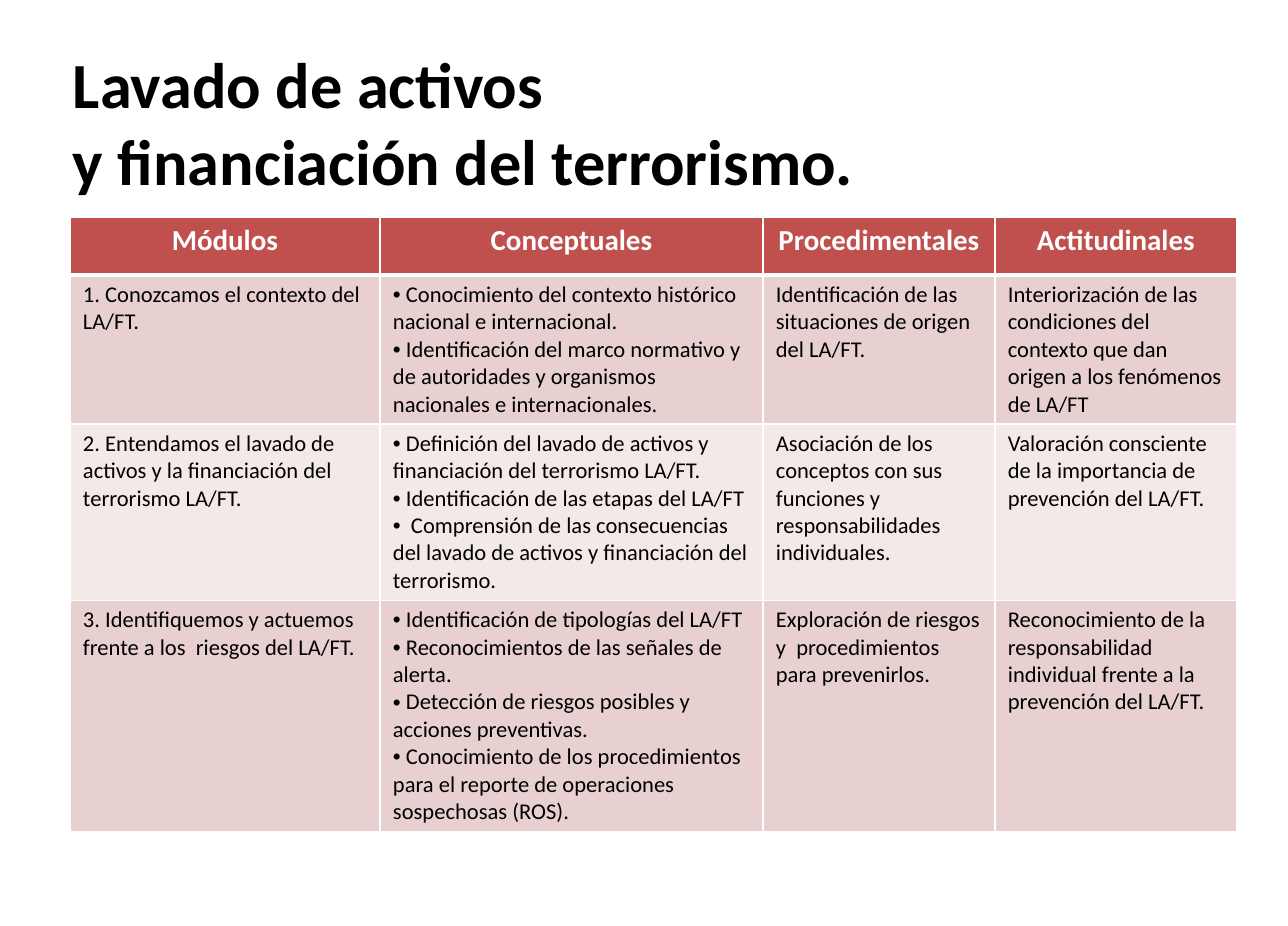
from lxml import etree
from pptx import Presentation
from pptx.dml.color import RGBColor
from pptx.enum.text import MSO_ANCHOR, PP_ALIGN
from pptx.oxml.ns import qn
from pptx.util import Pt

MIDDLE, TOP = MSO_ANCHOR.MIDDLE, MSO_ANCHOR.TOP
LEFT, CENTER = PP_ALIGN.LEFT, PP_ALIGN.CENTER
BLACK = RGBColor(0x00, 0x00, 0x00)
WHITE = RGBColor(0xFF, 0xFF, 0xFF)
RED = RGBColor(0xC0, 0x50, 0x4D)
BAND_FILLS = [RGBColor(0xF4, 0xE9, 0xE9), RGBColor(0xE8, 0xD0, 0xD0)]

TITLE = ["Lavado de activos", "y financiación del terrorismo."]
HEADERS = ["Módulos", "Conceptuales", "Procedimentales", "Actitudinales"]
MODULES = [
    (
        ["1. Conozcamos el contexto del LA/FT."],
        [
            "• Conocimiento del contexto histórico nacional e internacional.",
            "• Identificación del marco normativo y de autoridades y organismos nacionales e internacionales.",
        ],
        ["Identificación de las situaciones de origen del LA/FT."],
        ["Interiorización de las condiciones del contexto que dan origen a los fenómenos de LA/FT"],
    ),
    (
        ["2. Entendamos el lavado de activos y la financiación del terrorismo LA/FT."],
        [
            "• Definición del lavado de activos y financiación del terrorismo LA/FT.",
            "• Identificación de las etapas del LA/FT",
            "•  Comprensión de las consecuencias del lavado de activos y financiación del terrorismo.",
        ],
        ["Asociación de los conceptos con sus funciones y responsabilidades individuales."],
        ["Valoración consciente de la importancia de prevención del LA/FT."],
    ),
    (
        ["3. Identifiquemos y actuemos frente a los  riesgos del LA/FT."],
        [
            "• Identificación de tipologías del LA/FT",
            "• Reconocimientos de las señales de alerta.",
            "• Detección de riesgos posibles y acciones preventivas.",
            "• Conocimiento de los procedimientos para el reporte de operaciones",
            "sospechosas (ROS).",
        ],
        ["Exploración de riesgos y  procedimientos para prevenirlos."],
        ["Reconocimiento de la responsabilidad individual frente a la prevención del LA/FT."],
    ),
]

SCALE = 914400 / 115.8
SLIDE_SIZE = (1288, 926)
TITLE_BOX = (60, 44, 1159, 154)
TABLE_ORIGIN = (70, 217)
COLUMN_WIDTHS = [310, 383, 232, 242]
ROW_HEIGHTS = [58, 149, 176, 231]
INSETS = {"margin_left": 13, "margin_right": 13, "margin_top": 6, "margin_bottom": 6}

TITLE_FONT = {"name": "Calibri", "size": Pt(40), "bold": True}
HEADER_FONT = {"name": "Calibri", "size": Pt(18), "bold": True}
BODY_FONT = {"name": "Calibri", "size": Pt(14), "bold": False}


def px(length):
    return round(length * SCALE)


def set_attributes(target, values):
    for name, value in values.items():
        setattr(target, name, value)


def set_insets(target):
    set_attributes(target, {name: px(value) for name, value in INSETS.items()})


def add_bullet(paragraph):
    properties = paragraph._p.get_or_add_pPr()
    etree.SubElement(properties, qn("a:buFont"), typeface="Arial")
    etree.SubElement(properties, qn("a:buChar"), char="•")


def write_lines(text_frame, lines, font, color, alignment=LEFT):
    for index, line in enumerate(lines):
        paragraph = text_frame.add_paragraph() if index else text_frame.paragraphs[0]
        paragraph.alignment = alignment
        if line.startswith("•"):
            add_bullet(paragraph)
        run = paragraph.add_run()
        run.text = line.removeprefix("•")
        set_attributes(run.font, font)
        run.font.color.rgb = color


def set_borders(cell, widths):
    properties = cell._tc.get_or_add_tcPr()
    for index, (side, width) in enumerate(widths.items()):
        line = etree.Element(qn(f"a:ln{side}"), w=str(Pt(width)))
        fill = etree.SubElement(line, qn("a:solidFill"))
        etree.SubElement(fill, qn("a:srgbClr"), val=str(WHITE))
        properties.insert(index, line)


def add_title(slide):
    title = slide.shapes.add_textbox(*map(px, TITLE_BOX))
    text_frame = title.text_frame
    text_frame.word_wrap = True
    text_frame.vertical_anchor = MIDDLE
    set_insets(text_frame)
    write_lines(text_frame, TITLE, TITLE_FONT, BLACK)


def add_module_table(slide):
    rows = [[[header] for header in HEADERS], *MODULES]
    size = (sum(COLUMN_WIDTHS), sum(ROW_HEIGHTS))
    table = slide.shapes.add_table(
        len(rows), len(HEADERS), *map(px, TABLE_ORIGIN + size)
    ).table
    for column, width in zip(table.columns, COLUMN_WIDTHS):
        column.width = px(width)
    for row, height in zip(table.rows, ROW_HEIGHTS):
        row.height = px(height)
    for row_index, contents in enumerate(rows):
        is_header = row_index == 0
        for column_index, lines in enumerate(contents):
            cell = table.cell(row_index, column_index)
            cell.vertical_anchor = TOP
            set_insets(cell)
            cell.fill.solid()
            cell.fill.fore_color.rgb = RED if is_header else BAND_FILLS[row_index % 2]
            set_borders(cell, {
                "L": 1,
                "R": 1,
                "T": 3 if row_index == 1 else 1,
                "B": 3 if is_header else 1,
            })
            if is_header:
                write_lines(cell.text_frame, lines, HEADER_FONT, WHITE, CENTER)
            else:
                write_lines(cell.text_frame, lines, BODY_FONT, BLACK)


def main():
    presentation = Presentation()
    presentation.slide_width, presentation.slide_height = map(px, SLIDE_SIZE)
    slide = presentation.slides.add_slide(presentation.slide_layouts[6])
    add_module_table(slide)
    add_title(slide)
    presentation.save("out.pptx")


if __name__ == "__main__":
    main()
